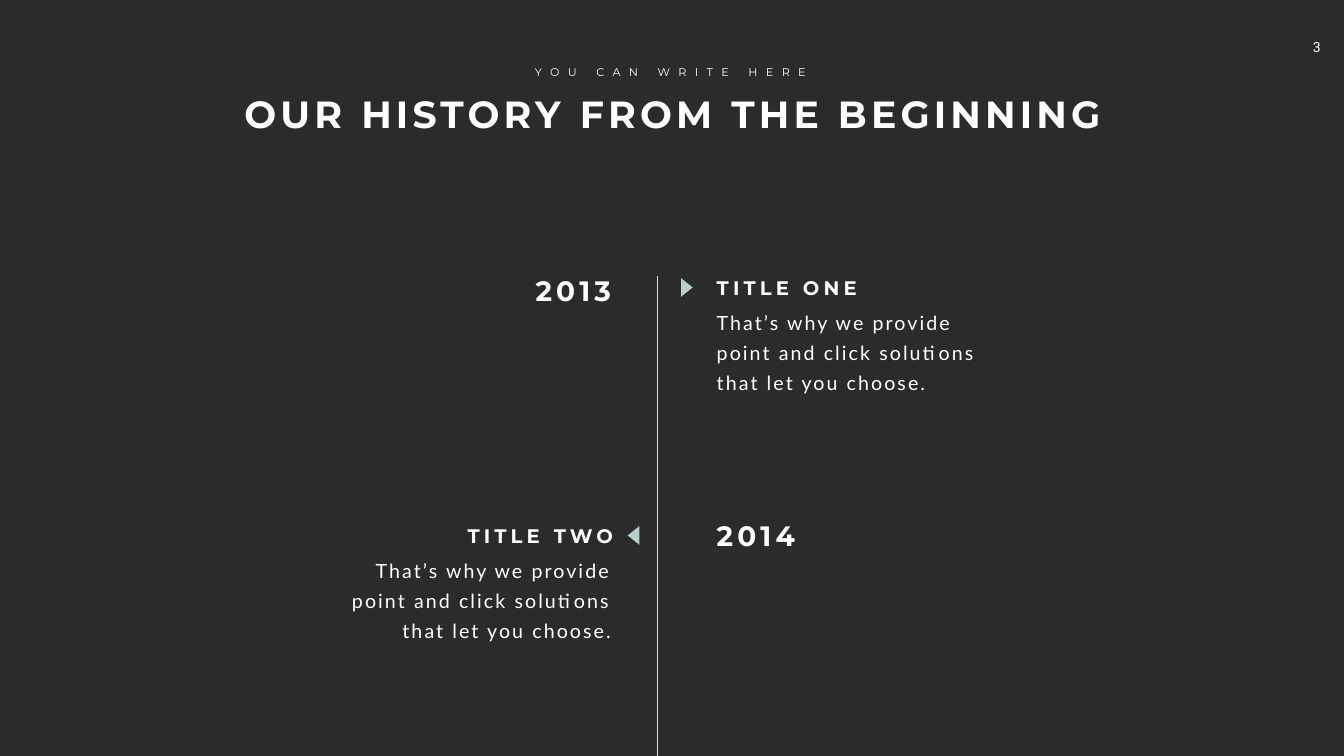
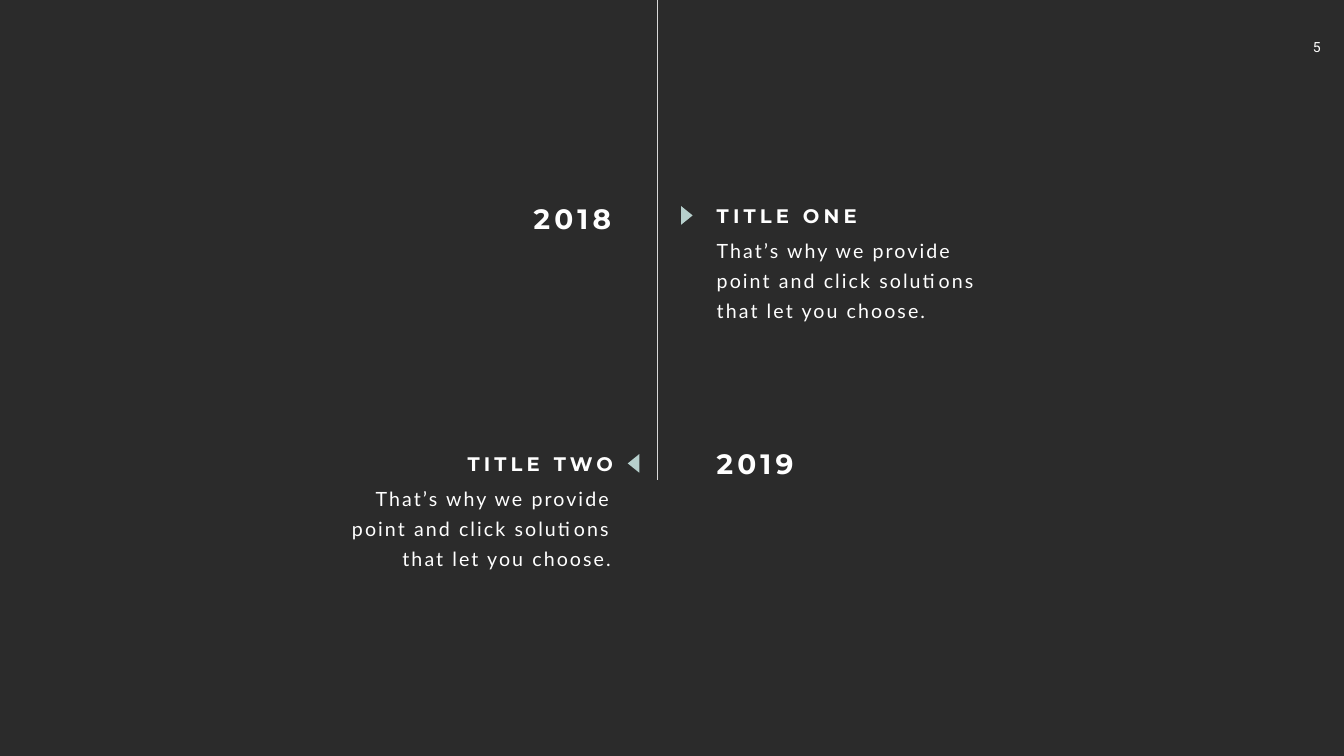
from dataclasses import dataclass

from lxml import etree
from pptx import Presentation
from pptx.dml.color import RGBColor
from pptx.enum.shapes import MSO_CONNECTOR, MSO_SHAPE
from pptx.enum.text import MSO_ANCHOR, MSO_AUTO_SIZE, PP_ALIGN
from pptx.oxml.ns import qn
from pptx.util import Inches, Pt

WIDTH, HEIGHT = Inches(26.66), Inches(15)
CHARCOAL = RGBColor(0x2B, 0x2B, 0x2B)
WHITE = RGBColor(0xFF, 0xFF, 0xFF)
SILVER = RGBColor(0xD9, 0xD9, 0xD9)
MINT = RGBColor(0xB7, 0xD0, 0xCD)
LEFT, CENTER, RIGHT = PP_ALIGN.LEFT, PP_ALIGN.CENTER, PP_ALIGN.RIGHT
TOP, NO_FIT = MSO_ANCHOR.TOP, MSO_AUTO_SIZE.NONE
TRIANGLE, STRAIGHT = MSO_SHAPE.ISOSCELES_TRIANGLE, MSO_CONNECTOR.STRAIGHT
TITLE_ONLY, BLANK = 5, 6

AXIS = 48.91
EVENT_STEP = 32.8
BODY_DROP = 3.8
ARROW_DROP = 1.13
BODY = "That’s why we provide point and click solutions that let you choose."


@dataclass(frozen=True)
class Area:
    """A rectangle in percent of the slide's width and height."""
    left: float
    top: float
    width: float
    height: float


@dataclass(frozen=True)
class Style:
    """The look of one kind of text, with tracking in points."""
    font: str
    size: int
    bold: bool = False
    tracking: int = 0
    leading: int = 0


@dataclass(frozen=True)
class Side:
    """Where the parts of an event stand on one side of the axis."""
    align: PP_ALIGN
    title_left: float
    body_left: float
    arrow_left: float
    turn: int
    year_left: float
    year_align: PP_ALIGN
    year_drop: float


@dataclass(frozen=True)
class Event:
    """One year of the history."""
    year: str
    title: str
    side: Side


HEADLINE = Style("Montserrat", 54, True, 6)
CAPTION = Style("Montserrat", 16, tracking=12)
YEAR = Style("Montserrat", 40, True, 6)
EVENT_TITLE = Style("Montserrat", 28, True, 6)
EVENT_BODY = Style("Lato", 28, tracking=3, leading=43)
PAGE_NUMBER = Style("Roboto", 20)

RIGHT_SIDE = Side(LEFT, 52.96, 52.96, 50.41, 90, 33.61, RIGHT, -0.27)
LEFT_SIDE = Side(RIGHT, 29.44, 24.01, 46.44, 270, 52.96, LEFT, -0.67)


def across(share: float) -> int:
    """Turn a percentage of the slide's width into a length."""
    return round(WIDTH * share / 100)


def down(share: float) -> int:
    """Turn a percentage of the slide's height into a length."""
    return round(HEIGHT * share / 100)


def bounds(area: Area) -> tuple[int, int, int, int]:
    """Give the left, top, width and height of an area."""
    return across(area.left), down(area.top), across(area.width), down(area.height)


def set_all(target, values: dict) -> None:
    """Set each attribute named in values on the target."""
    for name, value in values.items():
        setattr(target, name, value)


def write(box, text: str, style: Style, align: PP_ALIGN, wrap: bool = True) -> None:
    """Put styled text into a box."""
    frame = box.text_frame
    set_all(frame, {"word_wrap": wrap, "auto_size": NO_FIT, "vertical_anchor": TOP})
    para = frame.paragraphs[0]
    para.alignment = align
    if style.leading:
        para.line_spacing = Pt(style.leading)
    span = para.add_run()
    span.text = text
    set_all(span.font, {"name": style.font, "size": Pt(style.size), "bold": style.bold})
    span.font.color.rgb = WHITE
    if style.tracking:
        span.font._element.set("spc", str(style.tracking * 100))


def add_text(page, area: Area, text: str, style: Style, align: PP_ALIGN, wrap: bool = True):
    """Add a text box to the page."""
    box = page.shapes.add_textbox(*bounds(area))
    write(box, text, style, align, wrap)
    return box


def add_page(deck, layout: int, number: str):
    """Add a page that carries its number."""
    page = deck.slides.add_slide(deck.slide_layouts[layout])
    box = add_text(page, Area(96.36, 4.47, 3.79, 3.6), number, PAGE_NUMBER, CENTER)
    set_all(box.text_frame, {
        "margin_left": Inches(0.2), "margin_right": Inches(0.35),
        "margin_top": Inches(0.1), "margin_bottom": Inches(0.1),
    })
    return page


def add_heading(page, title: str, caption: str) -> None:
    """Fill the title placeholder and set a caption above it."""
    heading = page.shapes.title
    left, top, width, height = bounds(Area(17.29, 11.6, 65.57, 6.73))
    set_all(heading, {"left": left, "top": top, "width": width, "height": height})
    write(heading, title, HEADLINE, CENTER, wrap=False)
    add_text(page, Area(39.05, 8.27, 21.68, 2.47), caption, CAPTION, CENTER, wrap=False)


def add_axis(page, start: float, end: float) -> None:
    """Draw the upright line of the history."""
    axis = page.shapes.add_connector(STRAIGHT, across(AXIS), down(start), across(AXIS), down(end))
    axis.line.color.rgb = SILVER
    axis.line.width = Pt(0.5)
    etree.SubElement(axis._element.spPr, qn("a:effectLst"))


def add_event(page, event: Event, top: float) -> None:
    """Draw the year, arrow, title and body of an event."""
    side = event.side
    add_text(page, Area(side.body_left, top + BODY_DROP, 21.83, 12.33), BODY, EVENT_BODY, side.align)
    add_text(page, Area(side.title_left, top, 16.54, 3.8), event.title, EVENT_TITLE, side.align)
    add_text(page, Area(side.year_left, top + side.year_drop, 12.23, 5.13),
             event.year, YEAR, side.year_align)
    arrow = page.shapes.add_shape(TRIANGLE, *bounds(Area(side.arrow_left, top + ARROW_DROP, 1.39, 1.53)))
    arrow.rotation = side.turn
    arrow.shadow.inherit = False
    arrow.fill.solid()
    arrow.fill.fore_color.rgb = MINT
    arrow.line.fill.background()


def add_history(page, years: tuple[str, str], first_top: float, axis: tuple[float, float]) -> None:
    """Draw the axis with one event on each side."""
    add_axis(page, *axis)
    events = (Event(years[0], "TITLE ONE", RIGHT_SIDE), Event(years[1], "TITLE TWO", LEFT_SIDE))
    for row, event in enumerate(events):
        add_event(page, event, first_top + row * EVENT_STEP)


def main() -> None:
    """Build and save the deck."""
    deck = Presentation()
    set_all(deck, {"slide_width": WIDTH, "slide_height": HEIGHT})
    background = deck.slide_master.background.fill
    background.solid()
    background.fore_color.rgb = CHARCOAL

    opening = add_page(deck, TITLE_ONLY, "3")
    add_heading(opening, "OUR HISTORY FROM THE BEGINNING", "YOU CAN WRITE HERE")
    add_history(opening, ("2013", "2014"), 36.13, (36.47, 100))

    closing = add_page(deck, BLANK, "5")
    add_history(closing, ("2018", "2019"), 26.6, (0, 63.53))
    deck.save("out.pptx")


if __name__ == "__main__":
    main()
